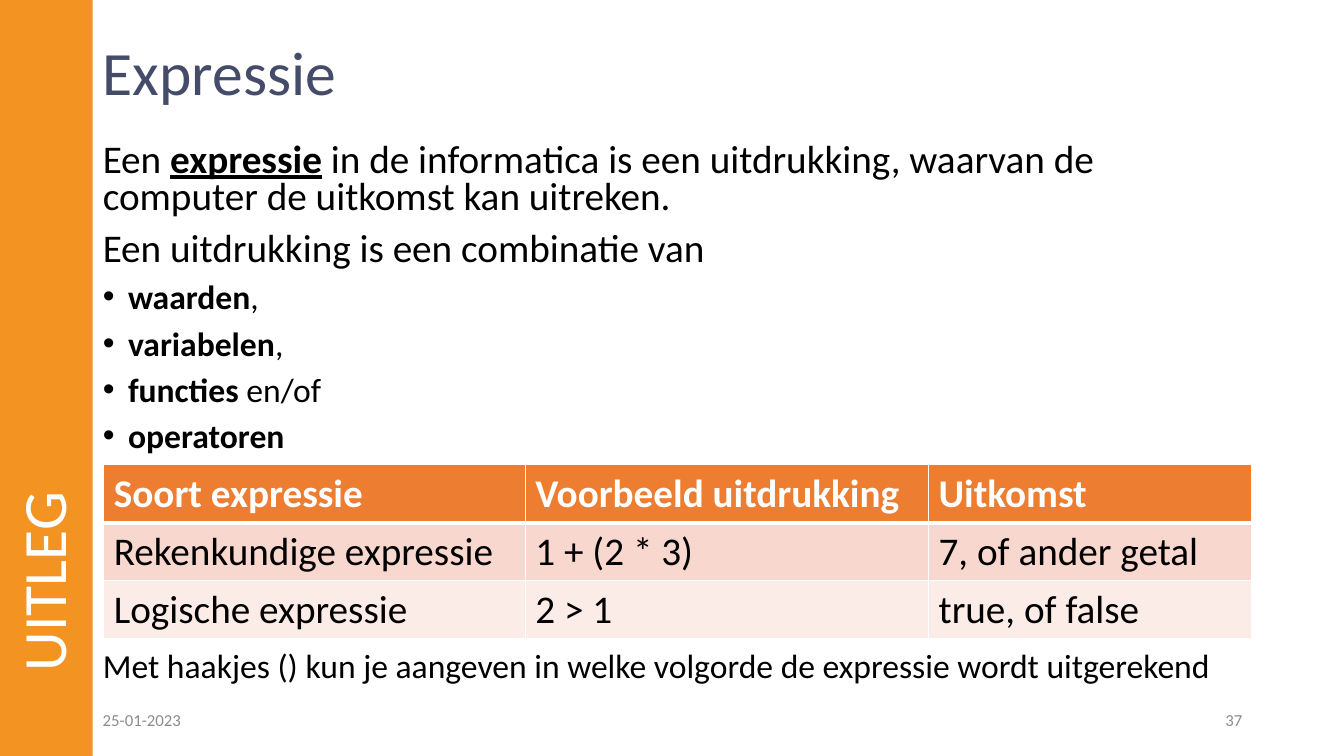
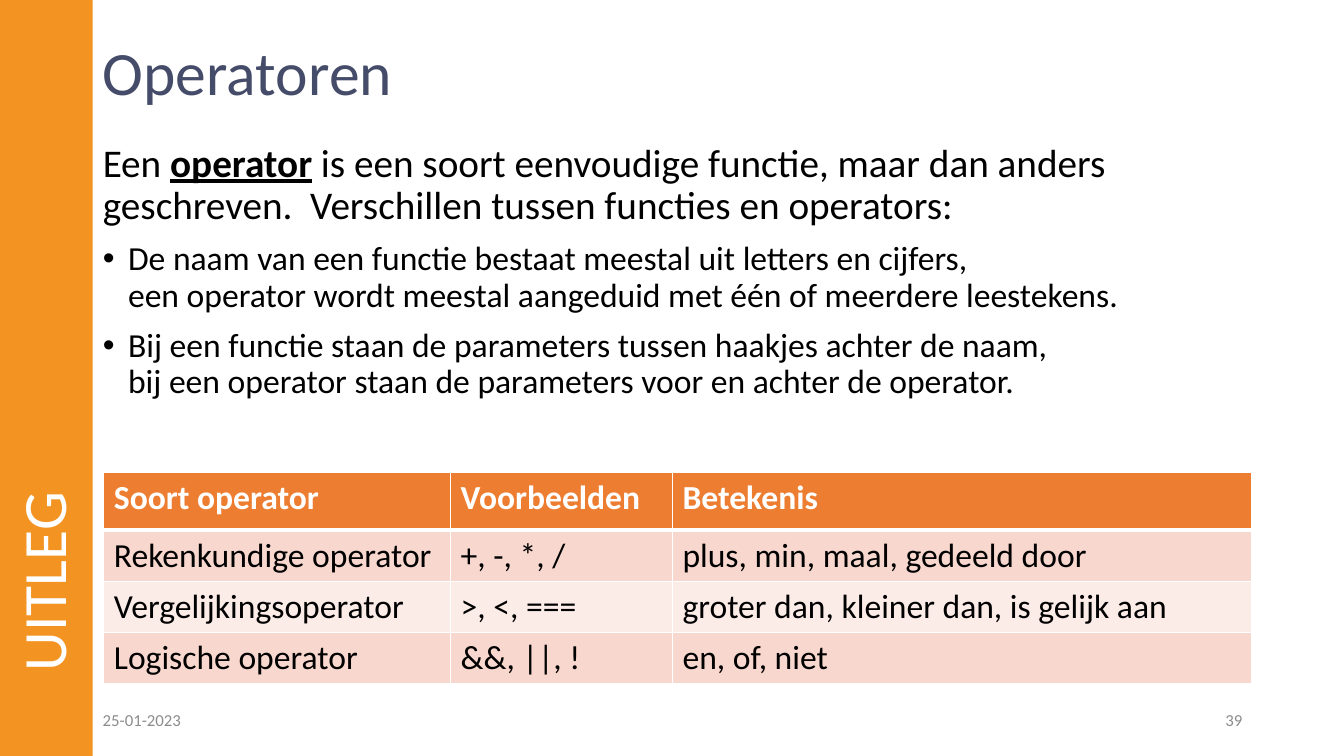
"""Build two Dutch lesson slides on expressions and operators."""
from dataclasses import dataclass

from lxml import etree
from pptx import Presentation
from pptx.dml.color import RGBColor
from pptx.enum.shapes import MSO_SHAPE
from pptx.enum.text import MSO_ANCHOR, MSO_AUTO_SIZE, PP_ALIGN
from pptx.oxml.ns import qn
from pptx.util import Inches, Pt

RECT = MSO_SHAPE.RECTANGLE
TOP, MIDDLE = MSO_ANCHOR.TOP, MSO_ANCHOR.MIDDLE
LEFT, RIGHT = PP_ALIGN.LEFT, PP_ALIGN.RIGHT
NO_FIT = MSO_AUTO_SIZE.NONE

FONT = "Calibri"
COLORS = {
    "band": "F39322",
    "title": "454C69",
    "text": "000000",
    "white": "FFFFFF",
    "foot": "8C8C8C",
    "head": "ED7D31",
    "odd": "F8D7CE",
    "even": "FCECE8",
}
EDGE = 0.92
WIDTH = 11.5
INDENT = 0.25


@dataclass
class Para:
    lead: str = ""
    key: str = ""
    tail: str = ""
    size: int = 24
    bullet: bool = False
    before: int = 10


@dataclass
class Grid:
    top: float
    size: int
    cols: list[float]
    heights: list[float]
    rows: list[list[str]]


@dataclass
class Page:
    title: str
    number: str
    spacing: float
    tall: float
    paras: list[Para]
    grid: Grid


PAGES = [
    Page(
        "Expressie", "37", 0.8, 5.83,
        [
            Para("Een ", "expressie", " in de informatica is een uitdrukking, waarvan de "
                 "computer de uitkomst kan uitreken.", 28, before=0),
            Para("Een uitdrukking is een combinatie van", size=28),
            Para(key="waarden", tail=",", bullet=True),
            Para(key="variabelen", tail=",", bullet=True),
            Para(key="functies", tail=" en/of", bullet=True),
            Para(key="operatoren", bullet=True),
            Para("Met haakjes () kun je aangeven in welke volgorde de expressie "
                 "wordt uitgerekend", before=141),
        ],
        Grid(4.61, 28, [4.18, 4, 3.2], [0.57] * 3, [
            ["Soort expressie", "Voorbeeld uitdrukking", "Uitkomst"],
            ["Rekenkundige expressie", "1 + (2 * 3)", "7, of ander getal"],
            ["Logische expressie", "2 > 1", "true, of false"],
        ]),
    ),
    Page(
        "Operatoren", "39", 0.9, 5.39,
        [
            Para("Een ", "operator", " is een soort eenvoudige functie, maar dan anders "
                 "geschreven.  Verschillen tussen functies en operators:", 28, before=0),
            Para("De naam van een functie bestaat meestal uit letters en cijfers,\n"
                 "een operator wordt meestal aangeduid met één of meerdere leestekens.",
                 bullet=True),
            Para("Bij een functie staan de parameters tussen haakjes achter de naam,\n"
                 "bij een operator staan de parameters voor en achter de operator.",
                 bullet=True),
        ],
        Grid(4.69, 24, [3.44, 2.2, 5.74], [0.57] + [0.5] * 3, [
            ["Soort operator", "Voorbeelden", "Betekenis"],
            ["Rekenkundige operator", "+, -, *, /", "plus, min, maal, gedeeld door"],
            ["Vergelijkingsoperator", ">, <, ===", "groter dan, kleiner dan, is gelijk aan"],
            ["Logische operator", "&&, ||, !", "en, of, niet"],
        ]),
    ),
]


def color(name: str) -> RGBColor:
    return RGBColor.from_string(COLORS[name])


def place(shape, left: float, top: float, width: float, height: float) -> None:
    shape.left, shape.top = Inches(left), Inches(top)
    shape.width, shape.height = Inches(width), Inches(height)


def setup(shape, anchor):
    frame = shape.text_frame
    frame.word_wrap = True
    frame.auto_size = NO_FIT
    frame.vertical_anchor = anchor
    return frame


def style(para, size: int, tone: str, bold: bool = False, align=LEFT) -> None:
    para.alignment = align
    font = para.font
    font.name, font.size, font.bold = FONT, Pt(size), bold
    font.color.rgb = color(tone)


def mark(para, bullet: bool) -> None:
    props = para._p.get_or_add_pPr()
    step = Inches(INDENT) if bullet else 0
    props.set("marL", str(step))
    props.set("indent", str(-step))
    if bullet:
        etree.SubElement(props, qn("a:buFont"), typeface="Arial")
        etree.SubElement(props, qn("a:buChar"), char="•")
    else:
        etree.SubElement(props, qn("a:buNone"))


def line(shape, text: str, size: int, tone: str, align=LEFT) -> None:
    para = setup(shape, MIDDLE).paragraphs[0]
    para.text = text
    mark(para, False)
    para.line_spacing = 0.9
    para.space_before = Pt(0)
    style(para, size, tone, align=align)


def write(para, item: Para, spacing: float) -> None:
    mark(para, item.bullet)
    para.line_spacing = spacing
    para.space_before = Pt(item.before)
    style(para, item.size, "text")
    for text, strong in ((item.lead, False), (item.key, True), (item.tail, False)):
        for pos, part in enumerate(text.split("\n") if text else []):
            if pos:
                para.add_line_break()
            run = para.add_run()
            run.text = part
            if strong:
                run.font.bold = True
                run.font.underline = not item.bullet


def border(cell, side: str, width: float) -> None:
    props = cell._tc.get_or_add_tcPr()
    edge = etree.SubElement(props, qn(f"a:ln{side}"), w=str(Pt(width)))
    fill = etree.SubElement(edge, qn("a:solidFill"))
    etree.SubElement(fill, qn("a:srgbClr"), val=COLORS["white"])


def draw_grid(slide, grid: Grid) -> None:
    table = slide.shapes.add_table(
        len(grid.rows), len(grid.cols), Inches(1.03), Inches(grid.top),
        Inches(sum(grid.cols)), Inches(sum(grid.heights))).table
    for col, width in zip(table.columns, grid.cols):
        col.width = Inches(width)
    for row, height in zip(table.rows, grid.heights):
        row.height = Inches(height)
    for r, texts in enumerate(grid.rows):
        head = r == 0
        tone = "head" if head else "odd" if r % 2 else "even"
        for c, text in enumerate(texts):
            cell = table.cell(r, c)
            for side in "LRTB":
                thick = (r, side) in ((0, "B"), (1, "T"))
                border(cell, side, 3 if thick else 1)
            cell.fill.solid()
            cell.fill.fore_color.rgb = color(tone)
            para = cell.text_frame.paragraphs[0]
            para.text = text
            style(para, grid.size, "white" if head else "text", head)


def draw_frame(slide, page: Page) -> None:
    title, side = slide.shapes.title, slide.placeholders[2]
    band = slide.shapes.add_shape(RECT, 0, 0, Inches(EDGE), Inches(7.5))
    band.shadow.inherit = False
    band.fill.solid()
    band.fill.fore_color.rgb = color("band")
    band.line.fill.background()
    title.element.addprevious(band.element)
    place(title, EDGE, 0.32, WIDTH, 0.86)
    line(title, page.title, 44, "title")
    place(side, -2.92, 2.92, 6.76, EDGE)
    side.rotation = 270
    line(side, "UITLEG", 44, "white")
    for left, text, align in ((EDGE, "25-01-2023", LEFT), (9.42, page.number, RIGHT)):
        box = slide.shapes.add_textbox(Inches(left), Inches(6.95), Inches(3), Inches(0.4))
        line(box, text, 12, "foot", align)


def draw_page(deck, page: Page) -> None:
    slide = deck.slides.add_slide(deck.slide_layouts[3])
    draw_frame(slide, page)
    body = slide.placeholders[1]
    place(body, EDGE, 1.37, WIDTH, page.tall)
    frame = setup(body, TOP)
    for pos, item in enumerate(page.paras):
        para = frame.add_paragraph() if pos else frame.paragraphs[0]
        write(para, item, page.spacing)
    draw_grid(slide, page.grid)


def main() -> None:
    deck = Presentation()
    deck.slide_width, deck.slide_height = Inches(13.33), Inches(7.5)
    for page in PAGES:
        draw_page(deck, page)
    deck.save("out.pptx")


if __name__ == "__main__":
    main()
